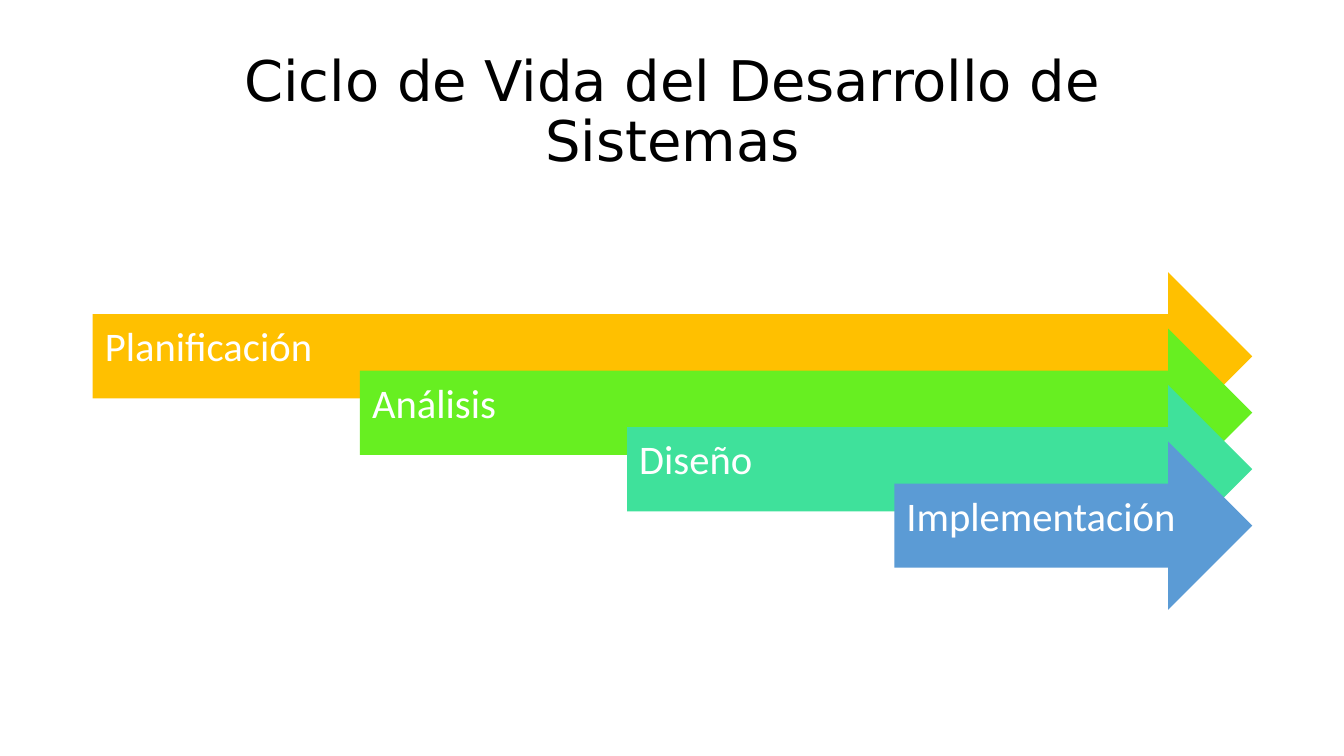
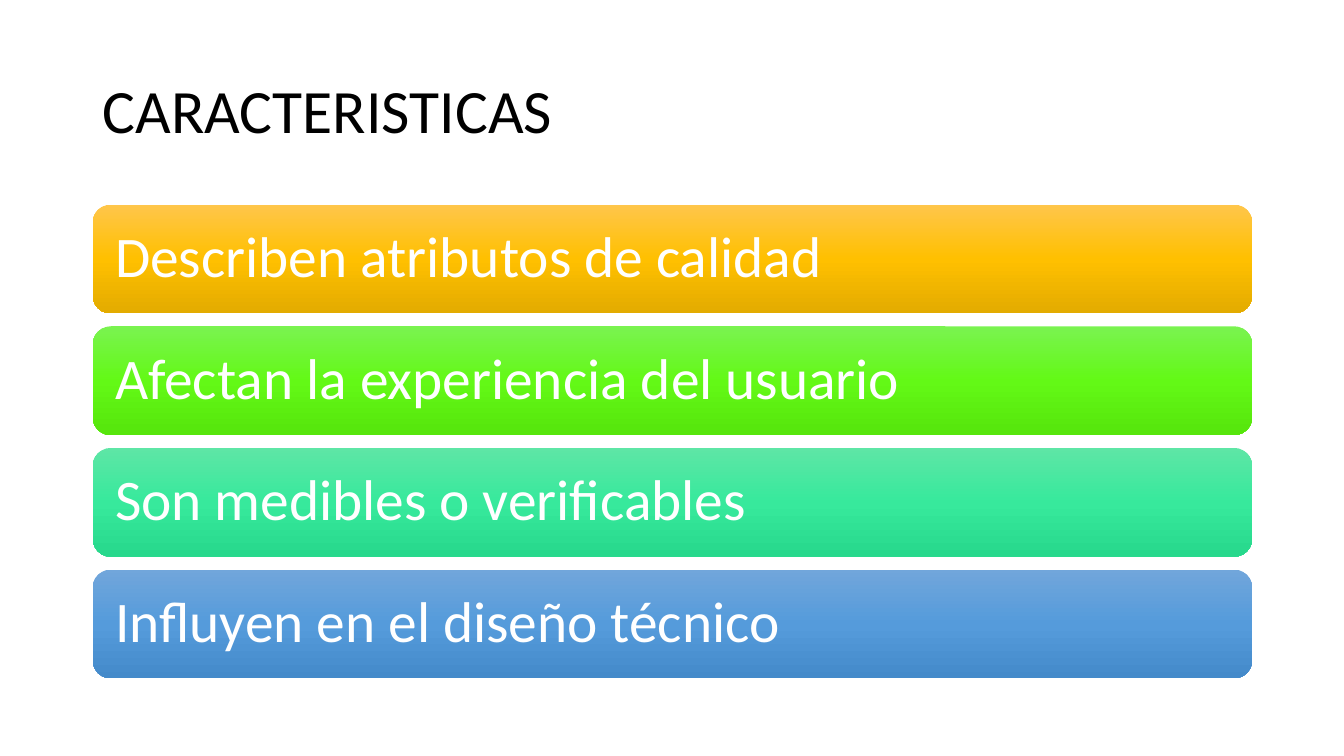
from copy import deepcopy

from pptx import Presentation
from pptx import util as u
from pptx.dml.color import RGBColor
from pptx.enum import shapes, text
from pptx.oxml.ns import qn

COLORS = {
    "ink": "000000",
    "white": "FFFFFF",
    "amber": "FFC000",
    "lime": "67EF21",
    "mint": "3FE19B",
    "blue": "5B9BD5",
    "amber_light": "FFC64B",
    "amber_dark": "E3AB00",
    "lime_light": "7AF350",
    "lime_vivid": "63F916",
    "lime_dark": "56E50C",
    "mint_light": "5EE6A6",
    "mint_vivid": "37E99C",
    "mint_dark": "27D88C",
    "blue_light": "71A6DB",
    "blue_vivid": "559BDB",
    "blue_dark": "448ACA",
}
LEFT, WIDTH = 0.92, 11.5


def color(name):
    return RGBColor.from_string(COLORS[name])


class SlideBuilder:
    body_font = "Calibri"
    line_spacing = 0.9

    def __init__(self, deck):
        self.deck = deck
        self.slide = None

    def new_slide(self):
        self.slide = self.deck.slides.add_slide(self.deck.slide_layouts[6])

    def set_text(self, box, words, size, ink, font=body_font,
                 align=text.PP_ALIGN.LEFT, insets=(0.1, 0.05, 0.1, 0.05)):
        frame = box.text_frame
        frame.word_wrap = True
        frame.vertical_anchor = text.MSO_ANCHOR.MIDDLE
        frame.margin_left, frame.margin_top, frame.margin_right, frame.margin_bottom = (
            u.Inches(inset) for inset in insets)
        para = frame.paragraphs[0]
        para.text = words
        para.alignment = align
        para.line_spacing = self.line_spacing
        para.font.name = font
        para.font.size = u.Pt(size)
        para.font.color.rgb = color(ink)

    def title(self, words, size, **style):
        box = self.slide.shapes.add_textbox(
            u.Inches(LEFT), u.Inches(0.4), u.Inches(WIDTH), u.Inches(1.45))
        self.set_text(box, words, size, "ink", **style)

    def shape(self, kind, left, top, width, height):
        shape = self.slide.shapes.add_shape(
            kind, u.Inches(left), u.Inches(top), u.Inches(width), u.Inches(height))
        shape.shadow.inherit = False
        shape.line.fill.background()
        return shape

    def arrow(self, words, left, top, fill):
        arrow = self.shape(shapes.MSO_SHAPE.RIGHT_ARROW,
                           left, top, LEFT + WIDTH - left, 1.67)
        arrow.fill.solid()
        arrow.fill.fore_color.rgb = color(fill)
        self.set_text(arrow, words, 29, "white", insets=(0.12, 0.12, 0.28, 0.27))

    def bar(self, words, top, gradient):
        bar = self.shape(shapes.MSO_SHAPE.ROUNDED_RECTANGLE, LEFT, top, WIDTH, 1.08)
        bar.fill.gradient()
        bar.fill.gradient_angle = 270
        stop_list = next(bar.element.iter(qn("a:gsLst")))
        stop_list.insert(1, deepcopy(stop_list[0]))
        for stop, position, name in zip(bar.fill.gradient_stops, (0, 0.5, 1), gradient):
            stop.position = position
            stop.color.rgb = color(name)
        self.set_text(bar, words, 41, "white", insets=(0.17,) * 4)


def life_cycle(builder):
    builder.new_slide()
    builder.title("Ciclo de Vida del Desarrollo de\nSistemas", 40,
                  font="DejaVu Sans", align=text.PP_ALIGN.CENTER)
    phases = [
        ("Planificación", "amber"),
        ("Análisis", "lime"),
        ("Diseño", "mint"),
        ("Implementación", "blue"),
    ]
    for step, (phase, fill) in enumerate(phases):
        builder.arrow(phase, LEFT + 2.65 * step, 2.7 + 0.56 * step, fill)


def characteristics(builder):
    builder.new_slide()
    builder.title("CARACTERISTICAS", 44)
    traits = [
        ("Describen atributos de calidad", ("amber_light", "amber", "amber_dark")),
        ("Afectan la experiencia del usuario", ("lime_light", "lime_vivid", "lime_dark")),
        ("Son medibles o verificables", ("mint_light", "mint_vivid", "mint_dark")),
        ("Influyen en el diseño técnico", ("blue_light", "blue_vivid", "blue_dark")),
    ]
    first_top, last_top = 2.03, 5.65
    pitch = (last_top - first_top) / (len(traits) - 1)
    for row, (trait, gradient) in enumerate(traits):
        builder.bar(trait, first_top + pitch * row, gradient)


def main():
    deck = Presentation()
    deck.slide_width, deck.slide_height = u.Inches(13.33), u.Inches(7.5)
    builder = SlideBuilder(deck)
    life_cycle(builder)
    characteristics(builder)
    deck.save("out.pptx")


if __name__ == "__main__":
    main()
